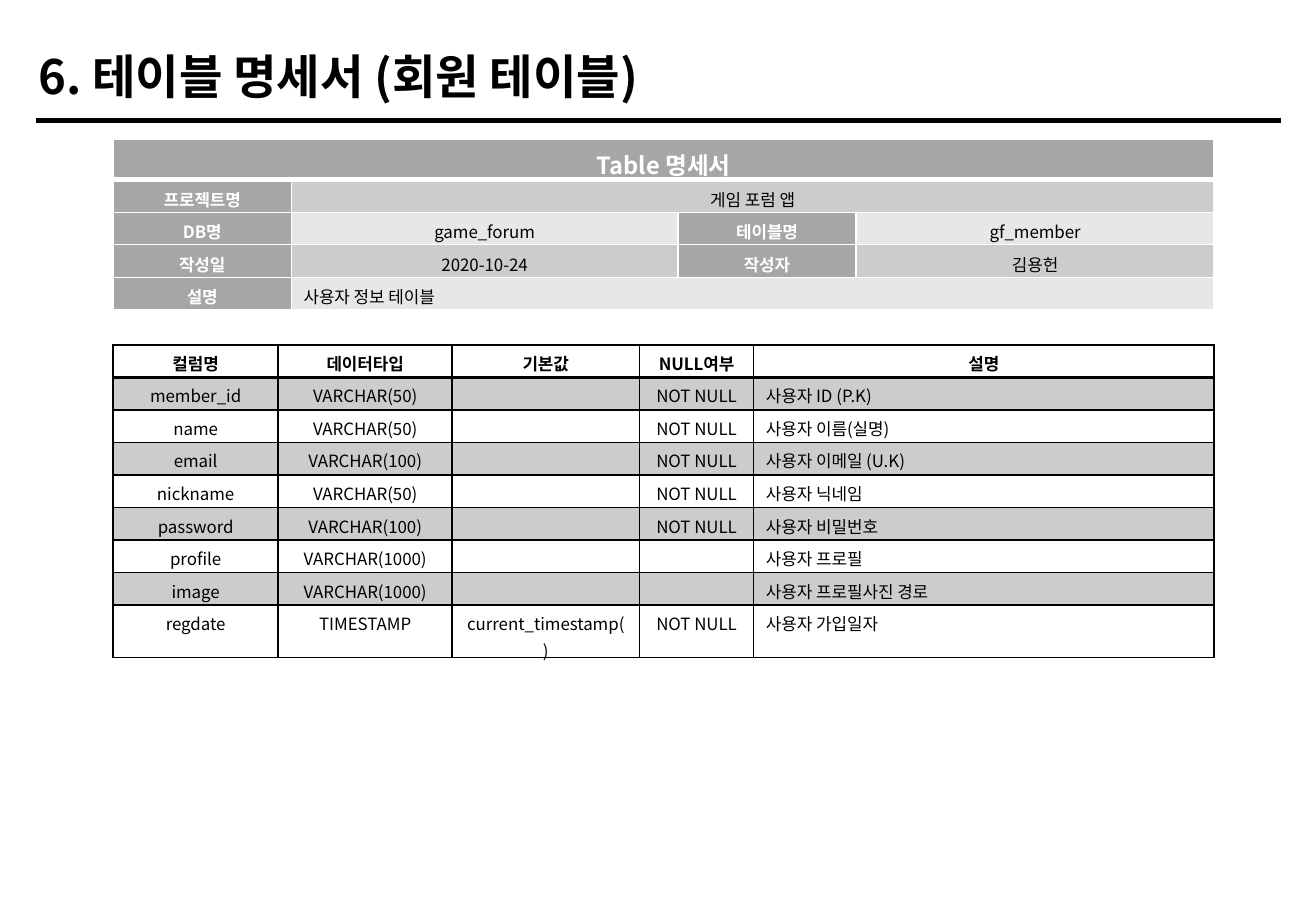
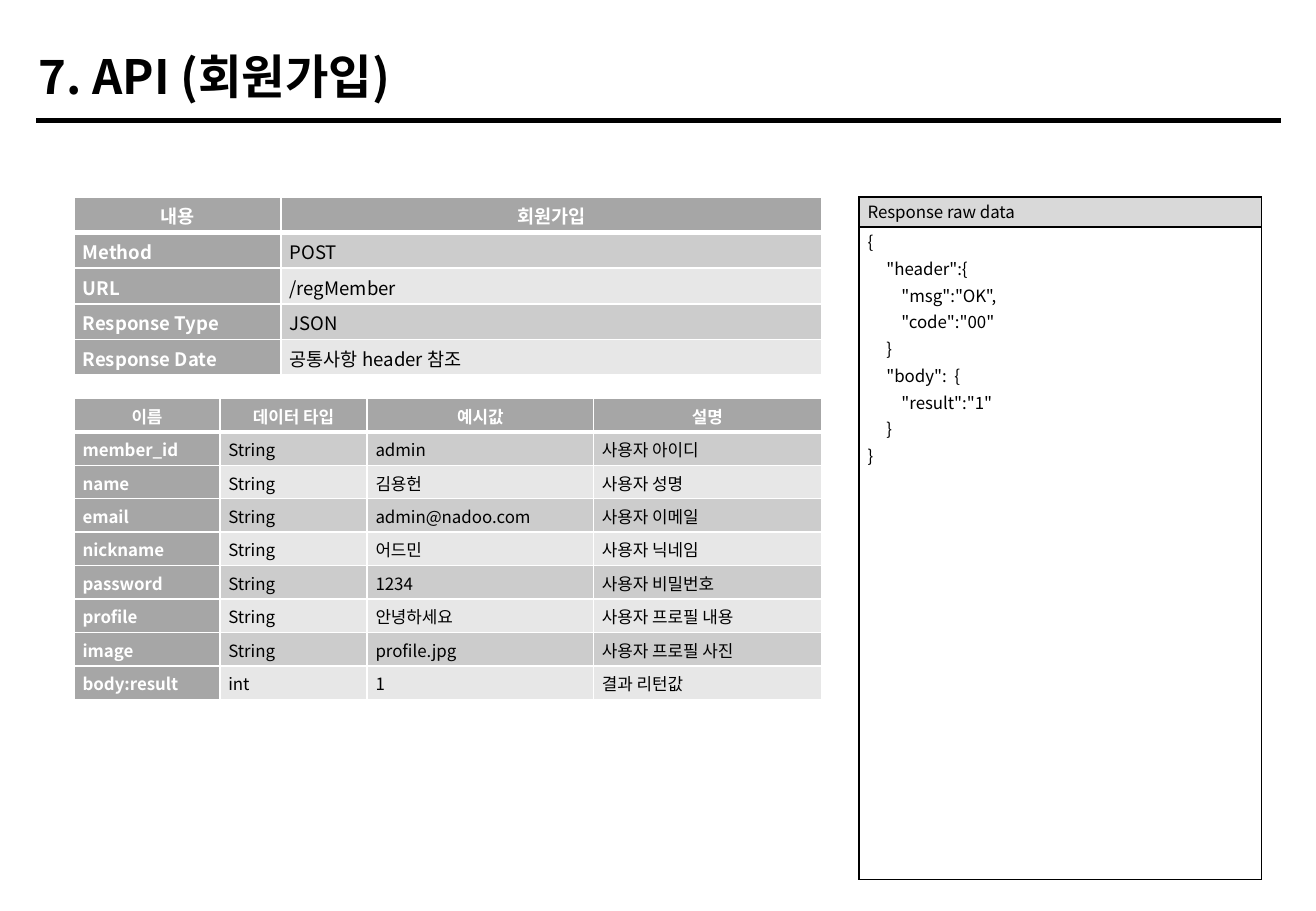
from lxml import etree
from pptx import Presentation
from pptx import util as u
from pptx.dml.color import RGBColor
from pptx.enum import shapes, text
from pptx.oxml.ns import qn

FONT = "Noto Sans CJK KR"
BLACK = RGBColor(0x00, 0x00, 0x00)
WHITE = RGBColor(0xFF, 0xFF, 0xFF)
DARK = RGBColor(0xA6, 0xA6, 0xA6)
HEAD = RGBColor(0xD9, 0xD9, 0xD9)
BAND = RGBColor(0xCC, 0xCC, 0xCC)
PALE = RGBColor(0xE7, 0xE7, 0xE7)
LEFT, CENTER, JUSTIFY = (text.PP_ALIGN.LEFT, text.PP_ALIGN.CENTER,
                         text.PP_ALIGN.JUSTIFY)

deck = Presentation()
deck.slide_width, deck.slide_height = u.Inches(10.83), u.Inches(7.5)
ACROSS = deck.slide_width / 100  # one percent of the slide's width
DOWN = deck.slide_height / 100  # one percent of the slide's height


def style(para, size, color, bold, align, spacing):
    para.alignment, para.line_spacing = align, spacing
    font = para.font
    font.size, font.bold, font.name = u.Pt(size), bold, FONT
    font.color.rgb = color
    defaults = para._p.find(qn("a:pPr")).find(qn("a:defRPr"))
    etree.SubElement(defaults, qn("a:ea"), typeface=FONT)
    if not para.runs:
        etree.SubElement(para._p, qn("a:endParaRPr"), sz=str(size * 100))


def draw_table(page, left, top, width, shares, heights, rows, size, aligns,
               spacing, insets, edge, head_edge, look, middle=True):
    """look(row, column) gives fill, text colour and bold; None joins left."""
    frame = page.shapes.add_table(
        len(rows), len(shares), round(left * ACROSS), round(top * DOWN),
        round(width * ACROSS), round(sum(heights) * DOWN))
    table = frame.table
    table.first_row = table.horz_banding = False
    for column, share in zip(table.columns, shares):
        column.width = round(width * share / 100 * ACROSS)
    for line, height in zip(table.rows, heights):
        line.height = round(height * DOWN)
    for r, row in enumerate(rows):
        for c, words in enumerate(row):
            cell = table.cell(r, c)
            fill, color, bold = look(r, c)
            # Borders come before the fill
            weights = {"L": 1, "R": 1, "T": head_edge if r == 1 else 1,
                       "B": head_edge if r == 0 else 1}
            for side, weight in weights.items():
                border = etree.SubElement(cell._tc.get_or_add_tcPr(),
                                          qn("a:ln" + side), w=str(u.Pt(weight)))
                solid = etree.SubElement(border, qn("a:solidFill"))
                etree.SubElement(solid, qn("a:srgbClr"), val=str(edge))
            cell.fill.solid()
            cell.fill.fore_color.rgb = fill
            cell.margin_left = cell.margin_right = u.Inches(insets[0])
            cell.margin_top, cell.margin_bottom = u.Inches(insets[1]), 0
            if middle:
                cell.vertical_anchor = text.MSO_ANCHOR.MIDDLE
            cell.text = words or ""
            for para in cell.text_frame.paragraphs:
                style(para, size, color, bold,
                      CENTER if r == 0 and len(row) > 1 else aligns[c], spacing)
        # Join each run of None with the cell before it
        for c, words in enumerate(row):
            if words is not None and row[c + 1:c + 2] == [None]:
                end = c + 1
                while end + 1 < len(row) and row[end + 1] is None:
                    end += 1
                table.cell(r, c).merge(table.cell(r, end))
    return table


def_titles = ["6. 테이블 명세서 (회원 테이블)", "7. API (회원가입)"]
pages = []

# Title and rule on every slide
for title in def_titles:
    page = deck.slides.add_slide(deck.slide_layouts[6])
    rule = page.shapes.add_connector(
        shapes.MSO_CONNECTOR.STRAIGHT, round(2.77 * ACROSS), round(13.2 * DOWN),
        round(97.32 * ACROSS), round(13.2 * DOWN))
    rule.line.color.rgb, rule.line.width = BLACK, u.Pt(3)
    etree.SubElement(rule._element.spPr, qn("a:effectLst"))
    box = page.shapes.add_textbox(round(2.03 * ACROSS), round(3.87 * DOWN),
                                  round(73 * ACROSS), round(8.27 * DOWN))
    box.text_frame.word_wrap = True
    box.text_frame.text = title
    style(box.text_frame.paragraphs[0], 28, BLACK, True, LEFT, 1.1)
    pages.append(page)
table_page, api_page = pages


# Looks shared by the grey tables: label cells are dark, the rest banded
def grey_look(labels):
    return lambda r, c: ((DARK, WHITE, True) if r == 0 or c in labels(r) else
                         (BAND if r % 2 else PALE, BLACK, False))


# Slide 1: table summary
summary = draw_table(
    table_page, 8.59, 15.33, 83.66, [16.2, 35.1, 16.2, 32.5],
    [4.4] + [3.57] * 4,
    [["Table 명세서", None, None, None],
     ["프로젝트명", "게임 포럼 앱", None, None],
     ["DB명", "game_forum", "테이블명", "gf_member"],
     ["작성일", "2020-10-24", "작성자", "김용헌"],
     ["설명", "사용자 정보 테이블", None, None]],
    10, [CENTER] * 4, 1.1, (0.1, 0.03), WHITE, 3,
    grey_look(lambda r: (0, 2) if r in (2, 3) else (0,)))
summary.cell(0, 0).text_frame.paragraphs[0].font.size = u.Pt(14)
summary.cell(4, 1).text_frame.paragraphs[0].alignment = LEFT

# Slide 1: column list
columns = [
    ["컬럼명", "데이터타입", "기본값", "NULL여부", "설명"],
    ["member_id", "VARCHAR(50)", "", "NOT NULL", "사용자 ID (P.K)"],
    ["name", "VARCHAR(50)", "", "NOT NULL", "사용자 이름(실명)"],
    ["email", "VARCHAR(100)", "", "NOT NULL", "사용자 이메일 (U.K)"],
    ["nickname", "VARCHAR(50)", "", "NOT NULL", "사용자 닉네임"],
    ["password", "VARCHAR(100)", "", "NOT NULL", "사용자 비밀번호"],
    ["profile", "VARCHAR(1000)", "", "", "사용자 프로필"],
    ["image", "VARCHAR(1000)", "", "", "사용자 프로필사진 경로"],
    ["regdate", "TIMESTAMP", "current_timestamp()", "NOT NULL", "사용자 가입일자"],
]
draw_table(
    table_page, 8.59, 37.87, 83.66, [15, 15.8, 17, 10.4, 41.8],
    [3.57] * 8 + [5.73], columns, 10, [CENTER] * 4 + [LEFT], 1.1,
    (0.1, 0.03), BLACK, 2,
    lambda r, c: (BAND if r % 2 else WHITE, BLACK, r == 0), middle=False)

# Slide 2: response panel
response = """{
     "header":{
         "msg":"OK",
         "code":"00"
     }
     "body":  {
         "result":"1"
     }
}"""
draw_table(
    api_page, 65.28, 21.6, 30.56, [100], [3.33, 71.6],
    [["Response raw data"], [response]], 10, [LEFT], 1.1, (0.07, 0), BLACK, 1,
    lambda r, c: (WHITE if r else HEAD, BLACK, False), middle=False)

# Slide 2: request summary and parameters
request = [
    ["내용", "회원가입"],
    ["Method", "POST"],
    ["URL", "/regMember"],
    ["Response Type", "JSON"],
    ["Response Date", "공통사항 header 참조"],
]
parameters = [
    ["이름", "데이터 타입", "예시값", "설명"],
    ["member_id", "String", "admin", "사용자 아이디"],
    ["name", "String", "김용헌", "사용자 성명"],
    ["email", "String", "admin@nadoo.com", "사용자 이메일"],
    ["nickname", "String", "어드민", "사용자 닉네임"],
    ["password", "String", "1234", "사용자 비밀번호"],
    ["profile", "String", "안녕하세요", "사용자 프로필 내용"],
    ["image", "String", "profile.jpg", "사용자 프로필 사진"],
    ["body:result", "int", "1", "결과 리턴값"],
]
for top, shares, height, rows, size in [
        (21.6, [27.7, 72.3], 3.92, request, 11),
        (43.73, [19.5, 19.7, 30.3, 30.5], 3.67, parameters, 10)]:
    draw_table(api_page, 5.63, top, 56.79, shares, [height] * len(rows), rows,
               size, [JUSTIFY] * len(shares), 1.07, (0.07, 0), WHITE, 3,
               grey_look(lambda r: (0,)))

deck.save("out.pptx")
